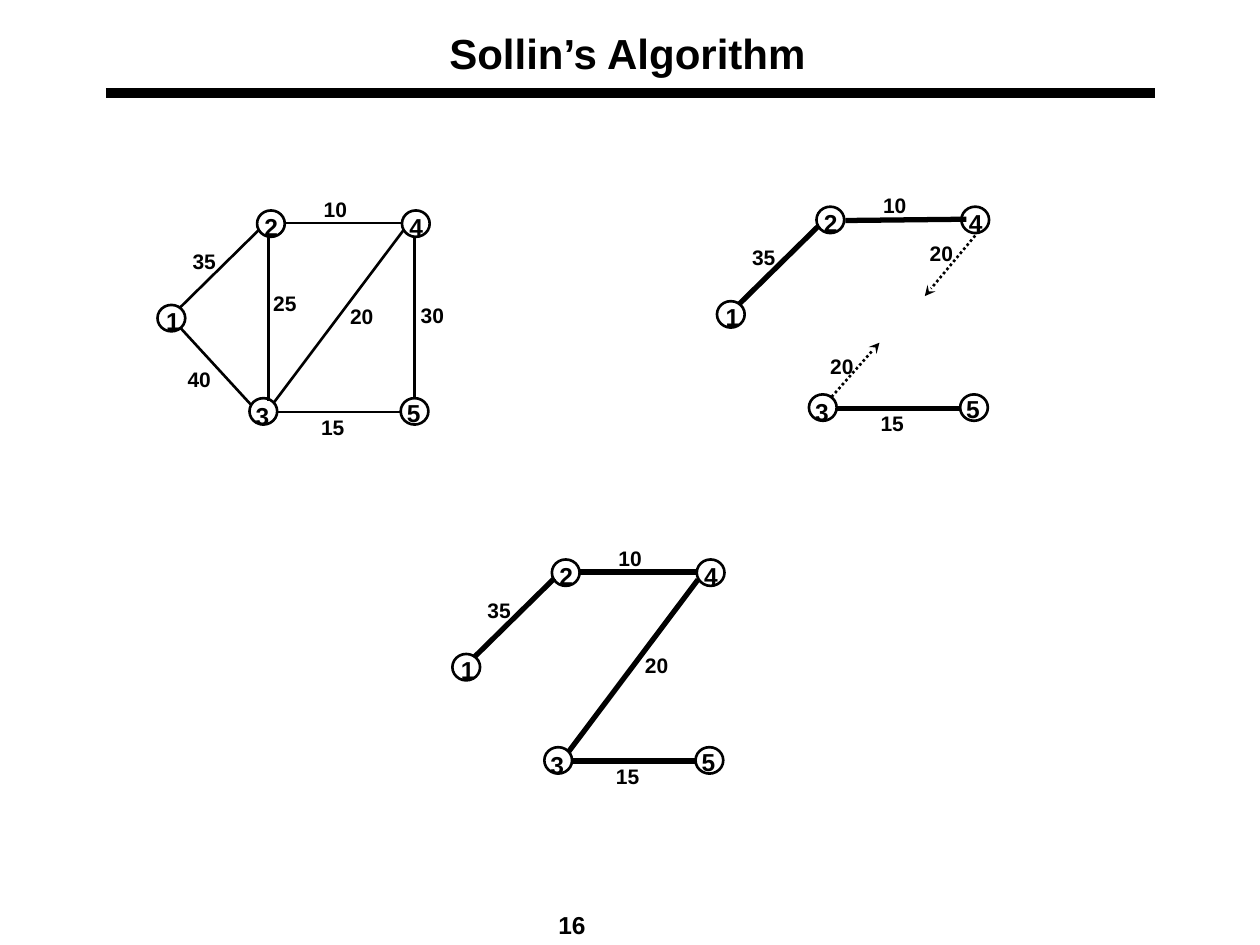
from lxml.etree import SubElement
from pptx import Presentation
from pptx.dml.color import RGBColor
from pptx.enum.dml import MSO_LINE
from pptx.enum.shapes import MSO_CONNECTOR, MSO_SHAPE
from pptx.enum.text import MSO_ANCHOR, MSO_AUTO_SIZE, PP_ALIGN
from pptx.oxml.ns import qn
from pptx.util import Inches, Pt

COLORS = {"ink": "000000", "paper": "FFFFFF"}
NODES = {
    "1": ((12.5, 24.2), (12.2, 23.8)),
    "2": ((20.4, 16.7), (20.0, 16.3)),
    "3": ((19.8, 31.6), (19.3, 31.3)),
    "4": ((31.9, 16.7), (31.5, 16.3)),
    "5": ((31.8, 31.6), (31.3, 31.1)),
}
EDGES = {
    "35": ((14.3, 24.4), (20.6, 18.2), (14.3, 19.2)),
    "10": ((22.6, 17.7), (31.9, 17.7), (24.7, 15.1)),
    "15": ((22.0, 32.7), (31.8, 32.7), (24.5, 32.4)),
    "30": ((32.9, 18.7), (32.9, 31.6), (32.4, 23.5)),
    "25": ((21.3, 18.7), (21.3, 31.8), (20.7, 22.6)),
    "40": ((14.3, 26.0), (19.9, 32.1), (13.9, 28.6)),
    "20": ((32.0, 18.3), (21.7, 32.0), (26.8, 23.6)),
}


class Board:
    """Draws on one slide, with lengths in cells of a 100 by 75 grid."""

    def __init__(self, deck):
        self.cell = deck.slide_width / 100
        self.slide = deck.slides.add_slide(deck.slide_layouts[5])
        self.shapes = self.slide.shapes
        self.shift = (0, 0)

    def spot(self, point):
        return [round((p + s) * self.cell) for p, s in zip(point, self.shift)]

    def span(self, size):
        return [round(side * self.cell) for side in size]

    def color(self, name):
        return RGBColor.from_string(COLORS[name])

    def fill_text(self, frame, text, size, align):
        frame.word_wrap = True
        para = frame.paragraphs[0]
        para.text = text
        para.alignment = align
        font = para.font
        font.name, font.size, font.bold = "Arial", Pt(size), True
        font.color.rgb = self.color("ink")

    def title(self, text, point, size):
        box = self.slide.shapes.title
        box.left, box.top = self.spot(point)
        box.width, box.height = self.span(size)
        frame = box.text_frame
        frame.auto_size = MSO_AUTO_SIZE.NONE
        frame.vertical_anchor = MSO_ANCHOR.MIDDLE
        self.fill_text(frame, text, 24, PP_ALIGN.CENTER)

    def label(self, text, point, size, points, align=PP_ALIGN.LEFT):
        box = self.shapes.add_textbox(*self.spot(point), *self.span(size))
        self.fill_text(box.text_frame, text, points, align)

    def cost(self, text, point):
        self.label(text, point, (4.2, 3), 12)

    def ring(self, point):
        ring = self.shapes.add_shape(
            MSO_SHAPE.OVAL, *self.spot(point), *self.span((2.2, 2.1)))
        ring.shadow.inherit = False
        ring.fill.solid()
        ring.fill.fore_color.rgb = self.color("paper")
        ring.line.color.rgb = self.color("ink")
        ring.line.width = Pt(1.5)

    def wire(self, start, end, width):
        wire = self.shapes.add_connector(
            MSO_CONNECTOR.STRAIGHT, *self.spot(start), *self.spot(end))
        wire.line.color.rgb = self.color("ink")
        wire.line.width = Pt(width)
        SubElement(wire._element.spPr, qn("a:effectLst"))
        return wire

    def arrow(self, start, end):
        line = self.wire(start, end, 1.5).line
        line.dash_style = MSO_LINE.ROUND_DOT
        SubElement(line._get_or_add_ln(), qn("a:tailEnd"), type="stealth")

    def graph(self, shift, costs, width, group=True):
        self.shift = shift
        shapes = self.slide.shapes
        self.shapes = shapes.add_group_shape().shapes if group else shapes
        for point, _ in NODES.values():
            self.ring(point)
        for cost in costs:
            start, end, _ = EDGES[cost]
            self.wire(start, end, width)
        for cost in costs:
            self.cost(cost, EDGES[cost][2])
        for name, (_, point) in NODES.items():
            self.label(name, point, (3.1, 3.4), 14)

    def reset(self):
        self.shapes, self.shift = self.slide.shapes, (0, 0)


def main():
    deck = Presentation()
    deck.slide_width, deck.slide_height = Inches(10), Inches(7.5)
    board = Board(deck)
    board.title("Sollin’s Algorithm", (7.3, 2.3), (85, 3.7))
    board.wire((8.4, 7.4), (91.7, 7.4), 6)

    board.graph((0, 0), list(EDGES), 1.5, group=False)
    board.graph((23.4, 27.7), ["35", "10", "15", "20"], 3)

    board.graph((44.4, -0.3), ["35", "15"], 3)
    board.wire((22.7, 17.8), (32.3, 17.7), 3)
    board.cost("10", EDGES["10"][2])
    board.arrow((21.6, 31.8), (25.4, 27.5))
    board.cost("20", (20.5, 27.9))
    board.arrow((33.0, 19.0), (29.0, 23.8))
    board.cost("20", (28.4, 18.9))

    board.reset()
    board.label("16", (35, 71.7), (20.8, 2.5), 14, PP_ALIGN.CENTER)
    deck.save("out.pptx")


if __name__ == "__main__":
    main()
